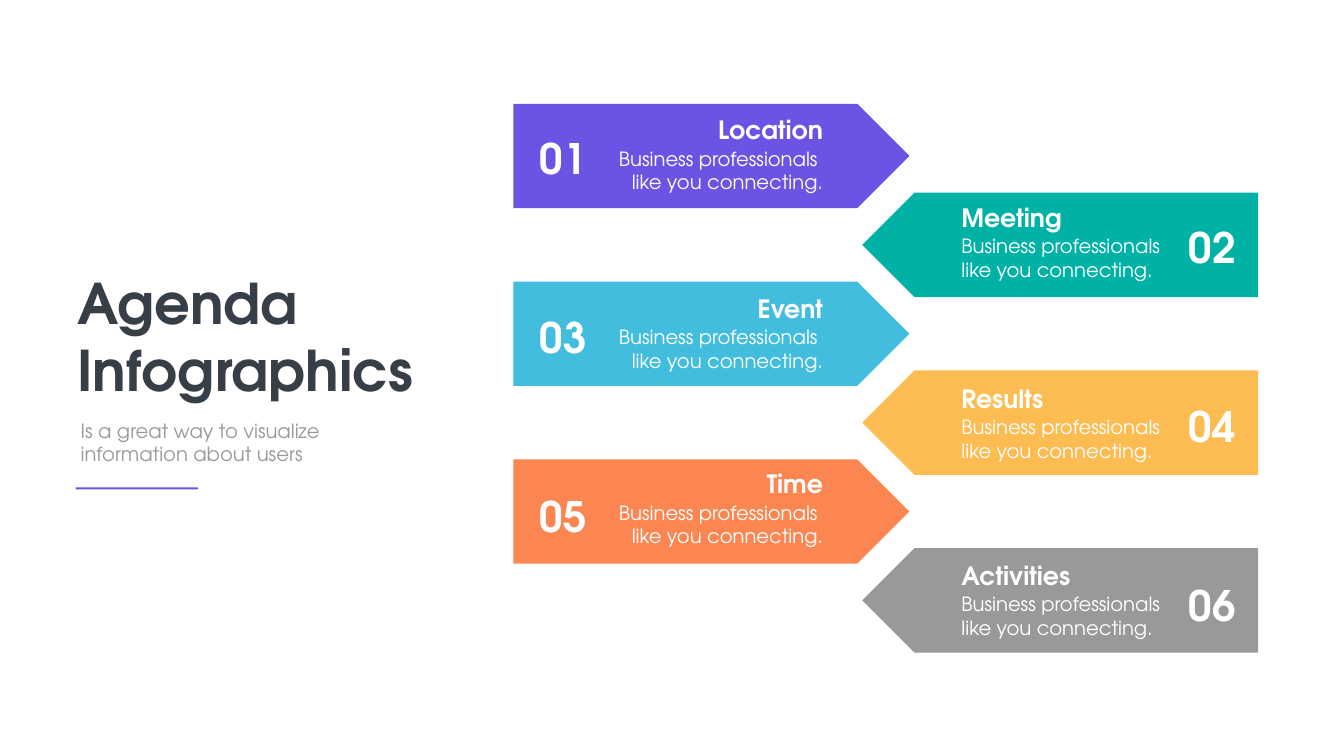
from dataclasses import dataclass

from pptx import Presentation
from pptx.dml.color import RGBColor
from pptx.enum.shapes import MSO_SHAPE
from pptx.enum.text import MSO_ANCHOR, MSO_AUTO_SIZE, PP_ALIGN
from pptx.util import Cm, Pt

FONT = "TeX Gyre Adventor"
COLORS = {
    "violet": "6C53E4",
    "teal": "00B2A6",
    "blue": "42BDDD",
    "amber": "FCBC52",
    "orange": "FB8652",
    "gray": "989998",
    "white": "FFFFFF",
    "dark": "363E48",
    "muted": "999999",
}

# All lengths are in centimetres.
TOP, STEP = 5.23, 4.48
BANNER_W, BANNER_H = 19.96, 5.26
NUM_TOP, NUM_STEP = 6.55, 4.51
BODY_DROP = 1.61


@dataclass
class Side:
    banner: float
    text: float
    num: float
    align: PP_ALIGN
    flip: bool
    body: str


@dataclass
class Topic:
    head: str
    color: str
    top: float


LEFT = Side(25.88, 29.31, 26.92, PP_ALIGN.RIGHT, False,
            "Business professionals \nlike you connecting.")
RIGHT = Side(43.46, 48.21, 59.64, PP_ALIGN.LEFT, True,
             "Business professionals\nlike you connecting.")

TOPICS = [
    Topic("Location", "violet", 5.66),
    Topic("Meeting", "teal", 10.06),
    Topic("Event", "blue", 14.66),
    Topic("Results", "amber", 19.18),
    Topic("Time", "orange", 23.5),
    Topic("Activities", "gray", 28.12),
]


def place(shape, x: float, y: float, w: float, h: float) -> None:
    shape.left, shape.top, shape.width, shape.height = map(Cm, (x, y, w, h))


def write(shape, text: str, *, size: int, color: str = "white",
          bold: bool = False, align: PP_ALIGN = PP_ALIGN.LEFT) -> None:
    frame = shape.text_frame
    frame.text = text
    frame.word_wrap = True
    frame.auto_size = MSO_AUTO_SIZE.NONE
    frame.vertical_anchor = MSO_ANCHOR.TOP
    for para in frame.paragraphs:
        para.alignment = align
        para.space_before = Pt(0)
        for run in para.runs:
            run.font.name = FONT
            run.font.size = Pt(size)
            run.font.bold = bold
            run.font.color.rgb = RGBColor.from_string(COLORS[color])


def label(slide, x: float, y: float, w: float, h: float, text: str,
          **style) -> None:
    box = slide.shapes.add_textbox(Cm(x), Cm(y), Cm(w), Cm(h))
    write(box, text, **style)


def block(slide, kind: MSO_SHAPE, x: float, y: float, w: float, h: float,
          color: str, flip: bool = False) -> None:
    """Draw a flat filled shape without outline."""
    shape = slide.shapes.add_shape(kind, Cm(x), Cm(y), Cm(w), Cm(h))
    shape.shadow.inherit = False
    shape.fill.solid()
    shape.fill.fore_color.rgb = RGBColor.from_string(COLORS[color])
    shape.line.fill.background()
    if flip:
        shape.element.spPr.get_or_add_xfrm().set("flipH", "1")


def draw_topic(slide, index: int, topic: Topic) -> None:
    side = RIGHT if index % 2 else LEFT
    block(slide, MSO_SHAPE.PENTAGON, side.banner, TOP + index * STEP,
          BANNER_W, BANNER_H, topic.color, side.flip)
    label(slide, side.text, topic.top, 12.42, 1.8, topic.head,
          size=36, bold=True, align=side.align)
    label(slide, side.text, topic.top + BODY_DROP, 12.42, 2.64, side.body,
          size=28, align=side.align)
    label(slide, side.num, NUM_TOP + index * NUM_STEP, 2.92, 2.82,
          f"{index + 1:02}", size=60, bold=True, align=PP_ALIGN.CENTER)


def main() -> None:
    deck = Presentation()
    deck.slide_width, deck.slide_height = Cm(67.74), Cm(38.1)
    slide = deck.slides.add_slide(deck.slide_layouts[0])

    title, intro = slide.placeholders
    place(title, 3.63, 13.41, 17.63, 7.09)
    write(title, "Agenda\nInfographics", size=80, color="dark", bold=True)
    place(intro, 3.81, 20.98, 13.28, 2.64)
    write(intro, "Is a great way to visualize information about users",
          size=28, color="muted")
    block(slide, MSO_SHAPE.RECTANGLE, 3.81, 24.56, 6.17, 0.1, "violet")

    for index, topic in enumerate(TOPICS):
        draw_topic(slide, index, topic)
    deck.save("out.pptx")


if __name__ == "__main__":
    main()
